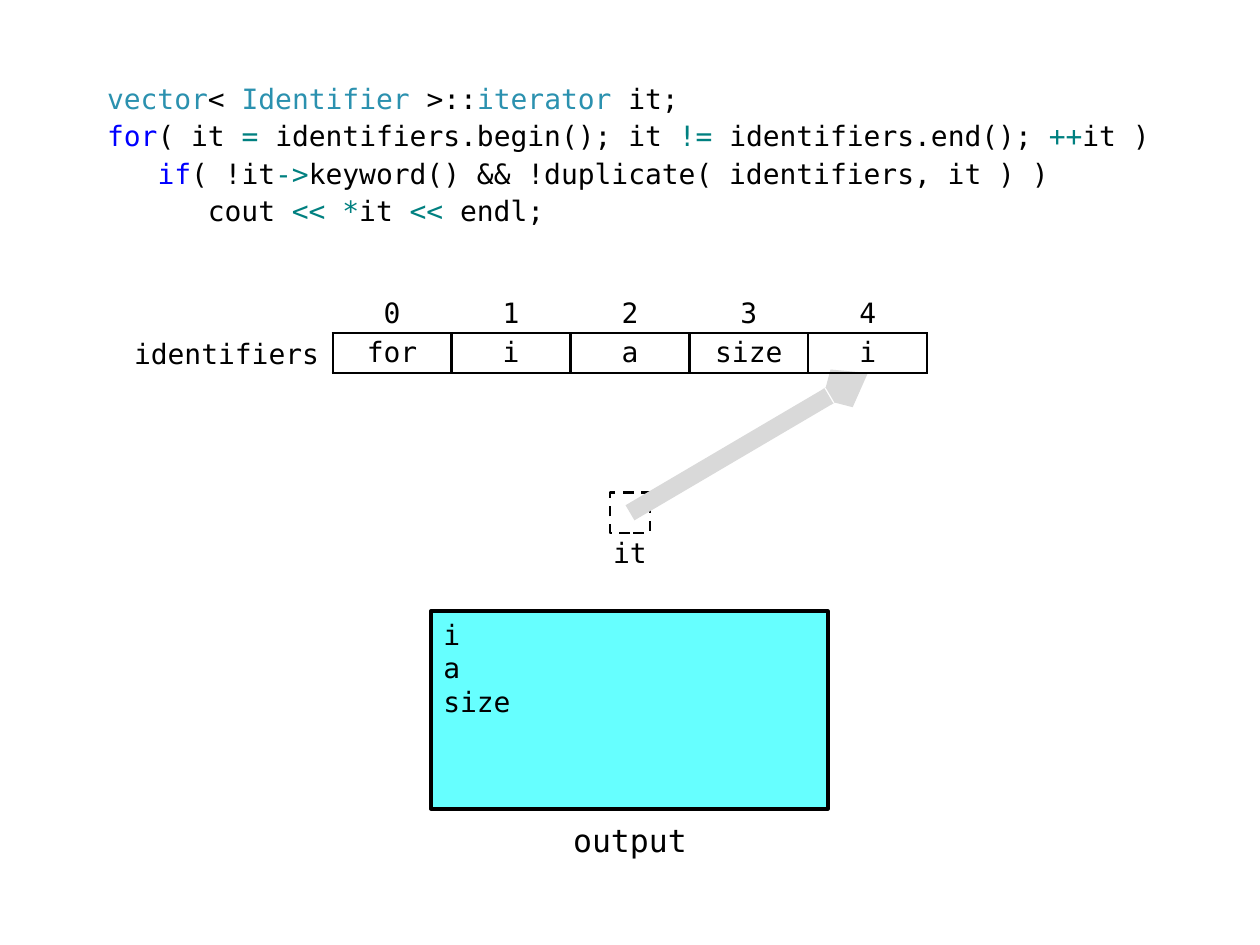
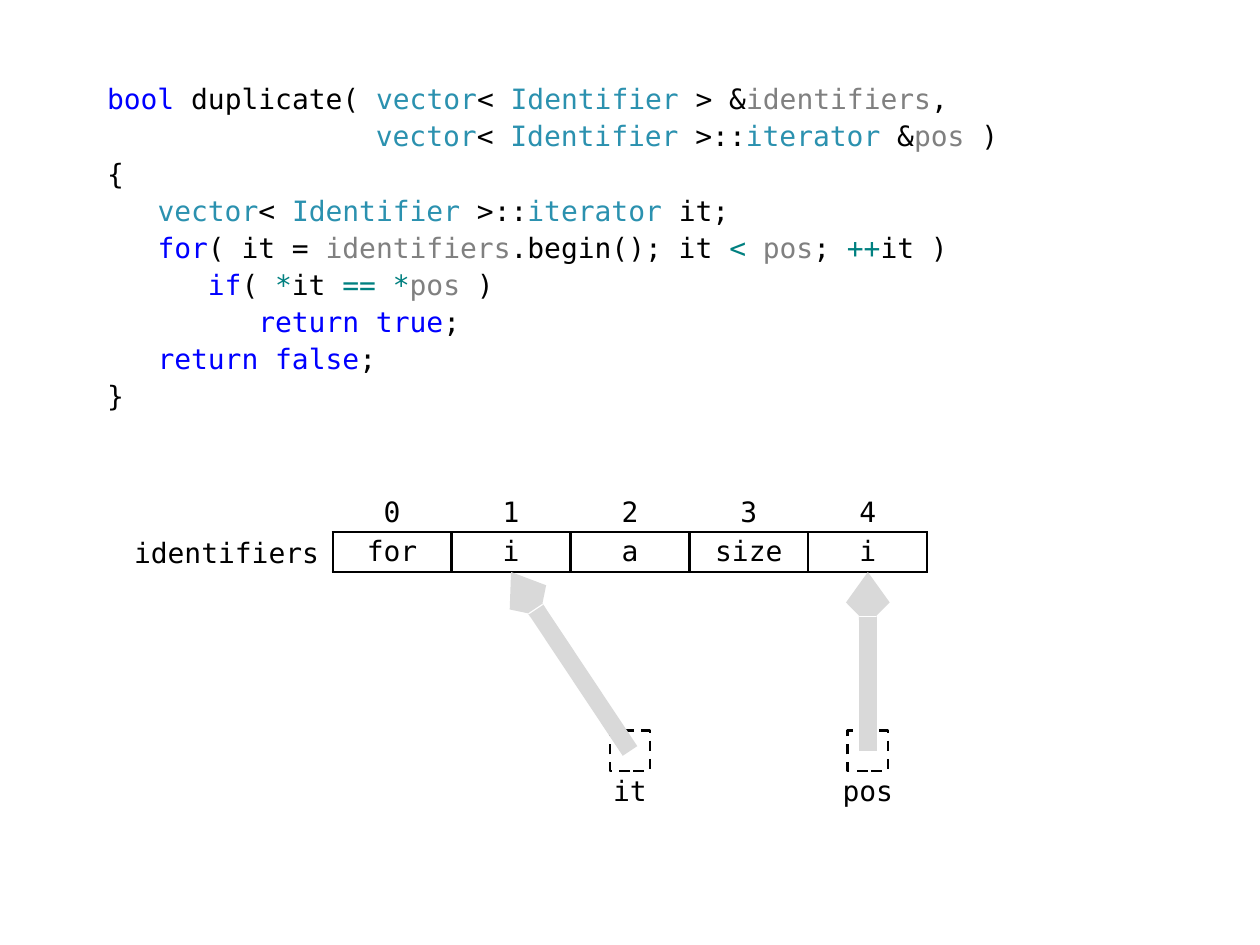
import pptx
import pptx.dml.color
import pptx.enum.dml
import pptx.enum.shapes
import pptx.enum.text
import pptx.oxml
import pptx.oxml.ns
import pptx.util
from lxml import etree

Inches = pptx.util.Inches
Align = pptx.enum.text.PP_ALIGN
Anchor = pptx.enum.text.MSO_ANCHOR
qn = pptx.oxml.ns.qn

COLORS = {
    "text": "000000",
    "type": "2B91AF",
    "keyword": "0000FF",
    "operator": "008080",
    "parameter": "808080",
    "paper": "FFFFFF",
    "console": "66FFFF",
    "arrow": "D9D9D9",
}
FONT = "DejaVu Sans Mono"
CODE_SIZE = 16
CHARACTER_WIDTH = 0.6 * CODE_SIZE / 72
NO_TABLE_STYLE = "{2D5ABB26-0587-4C30-8999-92F81FD0307C}"

ARRAY_LEFT, ARRAY_WIDTH, ARRAY_HEIGHT = 2.64, 4.72, 0.63
ROW_HEIGHT = ARRAY_HEIGHT / 2
POINTER_SIZE = 0.32
LABEL_WIDTH = 0.63
IDENTIFIERS = ["for", "i", "a", "size", "i"]
CELL_WIDTH = ARRAY_WIDTH / len(IDENTIFIERS)

# Code lines are (indent in characters, runs); a run is (text, colour name).
VECTOR = [("vector", "type"), ("< ", "text"), ("Identifier", "type")]
ITERATOR = VECTOR + [(" >::", "text"), ("iterator", "type")]
DECLARE_IT = ITERATOR + [(" it;", "text")]
INCREMENT_IT = [("++", "operator"), ("it )", "text")]

PRINT_CODE = [
    (0, DECLARE_IT),
    (0, [("for", "keyword"), ("( it ", "text"), ("= ", "operator"),
         ("identifiers.begin(); it ", "text"), ("!= ", "operator"),
         ("identifiers.end(); ", "text")] + INCREMENT_IT),
    (3, [("if", "keyword"), ("( !it", "text"), ("->", "operator"),
         ("keyword() && !duplicate( identifiers, it ) )", "text")]),
    (6, [("cout ", "text"), ("<< *", "operator"), ("it ", "text"),
         ("<<", "operator"), (" endl;", "text")]),
]
DUPLICATE_CODE = [
    (0, [("bool ", "keyword"), ("duplicate( ", "text")] + VECTOR
        + [(" > &", "text"), ("identifiers", "parameter"), (",", "text")]),
    (16, ITERATOR + [(" &", "text"), ("pos", "parameter"), (" )", "text")]),
    (0, [("{", "text")]),
    (3, DECLARE_IT),
    (3, [("for", "keyword"), ("( it = ", "text"), ("identifiers", "parameter"),
         (".begin(); it ", "text"), ("< ", "operator"), ("pos", "parameter"),
         ("; ", "text")] + INCREMENT_IT),
    (6, [("if", "keyword"), ("( ", "text"), ("*", "operator"), ("it ", "text"),
         ("== *", "operator"), ("pos", "parameter"), (" )", "text")]),
    (9, [("return true", "keyword"), (";", "text")]),
    (3, [("return false", "keyword"), (";", "text")]),
    (0, [("}", "text")]),
]


def rgb(name):
    """Return the named colour."""
    return pptx.dml.color.RGBColor.from_string(COLORS[name])


def cell_center(column):
    """Return the horizontal centre of an array cell."""
    return ARRAY_LEFT + CELL_WIDTH * (column + 0.5)


class Deck:
    """Holds the presentation, its style and the current slide."""

    def __init__(self):
        """Start an empty 10 by 7.5 inch presentation."""
        self.presentation = pptx.Presentation()
        self.presentation.slide_width = Inches(10)
        self.presentation.slide_height = Inches(7.5)
        self.slide = None

    def add_slide(self):
        """Add a slide that keeps only its body placeholder."""
        self.slide = self.presentation.slides.add_slide(self.presentation.slide_layouts[1])
        title = self.slide.shapes.title._element
        title.getparent().remove(title)

    def add_text(self, paragraph, text, color="text", size=CODE_SIZE):
        """Add one run to a paragraph."""
        run = paragraph.add_run()
        run.text = text
        run.font.name = FONT
        run.font.size = pptx.util.Pt(size)
        run.font.color.rgb = rgb(color)

    def code(self, lines, height):
        """Fill the body placeholder with coloured code lines."""
        body = self.slide.placeholders[1]
        body.left, body.top = Inches(0.75), Inches(0.6)
        body.width, body.height = Inches(8.51), Inches(height)
        frame = body.text_frame
        frame.auto_size = pptx.enum.text.MSO_AUTO_SIZE.NONE
        for number, (indent, runs) in enumerate(lines):
            paragraph = frame.add_paragraph() if number else frame.paragraphs[0]
            paragraph.space_before = pptx.util.Pt(2)
            properties = paragraph._p.get_or_add_pPr()
            properties.set("marL", str(Inches(indent * CHARACTER_WIDTH)))
            properties.set("indent", "0")
            etree.SubElement(properties, qn("a:buNone"))
            for text, color in runs:
                self.add_text(paragraph, text, color)

    def label(self, text, left, top, width, height=ROW_HEIGHT,
              align=Align.CENTER, left_margin=0.1, size=CODE_SIZE):
        """Add a one-line label, centred vertically."""
        box = self.slide.shapes.add_textbox(
            Inches(left), Inches(top), Inches(width), Inches(height))
        frame = box.text_frame
        frame.word_wrap = True
        frame.vertical_anchor = Anchor.MIDDLE
        frame.margin_left, frame.margin_right = Inches(left_margin), Inches(0.1)
        frame.margin_top = frame.margin_bottom = 0
        frame.paragraphs[0].alignment = align
        self.add_text(frame.paragraphs[0], text, size=size)

    def rectangle(self, left, top, width, height, fill, line_width):
        """Add a black-lined rectangle and return it."""
        shape = self.slide.shapes.add_shape(
            pptx.enum.shapes.MSO_SHAPE.RECTANGLE,
            Inches(left), Inches(top), Inches(width), Inches(height))
        shape.shadow.inherit = False
        shape.fill.solid()
        shape.fill.fore_color.rgb = rgb(fill)
        shape.line.color.rgb = rgb("text")
        shape.line.width = pptx.util.Pt(line_width)
        return shape

    def arrow(self, start, end):
        """Add a thick grey arrow between two points."""
        connector = self.slide.shapes.add_connector(
            pptx.enum.shapes.MSO_CONNECTOR.STRAIGHT,
            *[Inches(value) for value in (*start, *end)])
        connector.line.color.rgb = rgb("arrow")
        connector.line.width = pptx.util.Pt(10)
        properties = connector._element.spPr
        etree.SubElement(properties.find(qn("a:ln")), qn("a:tailEnd"),
                         type="arrow", w="sm", len="sm")
        etree.SubElement(properties, qn("a:effectLst"))

    def borders(self, cell, sides):
        """Draw black borders on the given sides of a cell."""
        properties = cell._tc.get_or_add_tcPr()
        for side in sides:
            line = etree.SubElement(properties, qn("a:ln" + side),
                                    w=str(pptx.util.Pt(1.5)))
            fill = etree.SubElement(line, qn("a:solidFill"))
            etree.SubElement(fill, qn("a:srgbClr"), val=COLORS["text"])

    def array(self, top):
        """Add the identifiers array with its indexes and its name."""
        self.label("identifiers", 1.04, top + ROW_HEIGHT, 1.59,
                   align=Align.RIGHT, left_margin=0)
        rows = [[str(index) for index in range(len(IDENTIFIERS))], IDENTIFIERS]
        table = self.slide.shapes.add_table(
            len(rows), len(IDENTIFIERS), Inches(ARRAY_LEFT), Inches(top),
            Inches(ARRAY_WIDTH), Inches(ARRAY_HEIGHT)).table
        table.first_row = table.horz_banding = False
        table._tbl.tblPr.find(qn("a:tableStyleId")).text = NO_TABLE_STYLE
        for row, (values, sides) in enumerate(zip(rows, ("B", "LRTB"))):
            for column, value in enumerate(values):
                cell = table.cell(row, column)
                self.borders(cell, sides)
                cell.fill.background()
                cell.vertical_anchor = Anchor.MIDDLE
                cell.margin_left = cell.margin_right = Inches(0.1)
                cell.margin_top = cell.margin_bottom = 0
                paragraph = cell.text_frame.paragraphs[0]
                paragraph.alignment = Align.CENTER
                self.add_text(paragraph, value)

    def pointer(self, name, column, top, target_column, array_top):
        """Add a named dashed box with an arrow to an array cell."""
        center = cell_center(column)
        self.label(name, center - LABEL_WIDTH / 2, top + ROW_HEIGHT, LABEL_WIDTH)
        box = self.rectangle(center - POINTER_SIZE / 2, top,
                             POINTER_SIZE, POINTER_SIZE, "paper", 1.5)
        box.line.dash_style = pptx.enum.dml.MSO_LINE.DASH
        self.arrow((center, top + POINTER_SIZE / 2),
                   (cell_center(target_column), array_top + ARRAY_HEIGHT))

    def output(self, lines):
        """Add the output console and its caption."""
        console = self.rectangle(3.42, 4.85, 3.15, 1.57, "console", 2)
        frame = console.text_frame
        frame.vertical_anchor = Anchor.TOP
        for number, text in enumerate(lines):
            paragraph = frame.add_paragraph() if number else frame.paragraphs[0]
            paragraph.alignment = Align.LEFT
            self.add_text(paragraph, text)
        self.label("output", 4.37, 6.43, 1.26, 0.47, size=18)


def print_slide(deck):
    """Build the slide with the printing loop."""
    array_top = 2.33
    deck.add_slide()
    deck.pointer("it", 2, 3.91, 4, array_top)
    deck.code(PRINT_CODE, 1.26)
    deck.array(array_top)
    deck.output(["i", "a", "size"])


def duplicate_slide(deck):
    """Build the slide with the duplicate function."""
    array_top = 3.91
    deck.add_slide()
    deck.code(DUPLICATE_CODE, 2.68)
    deck.array(array_top)
    deck.pointer("it", 2, 5.8, 1, array_top)
    deck.pointer("pos", 4, 5.8, 4, array_top)


deck = Deck()
print_slide(deck)
duplicate_slide(deck)
deck.presentation.save("out.pptx")
